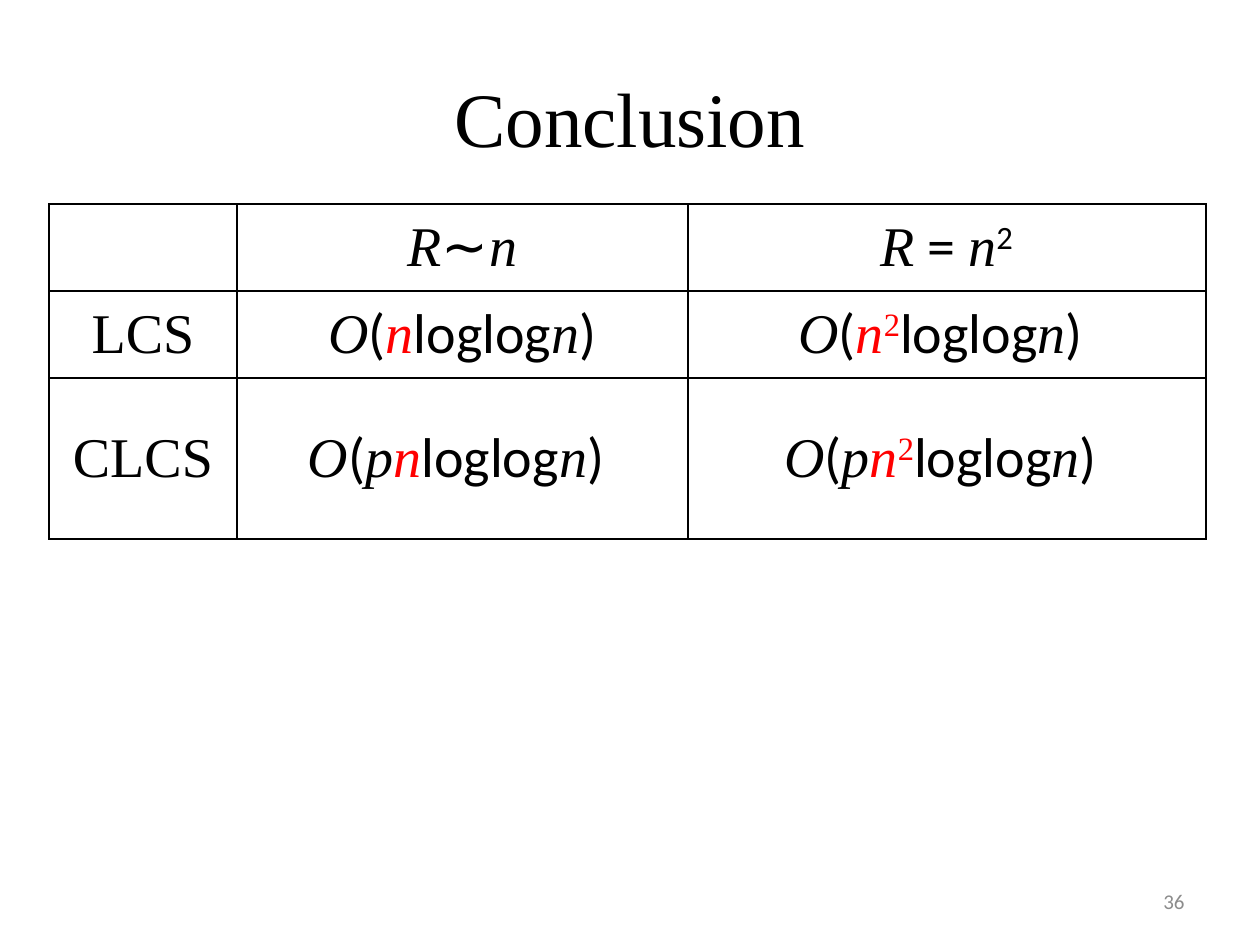
from lxml import etree
from pptx import Presentation
from pptx.dml.color import RGBColor
from pptx.enum.text import MSO_ANCHOR, PP_ALIGN
from pptx.oxml.ns import qn
from pptx.util import Inches, Pt

MIDDLE = MSO_ANCHOR.MIDDLE
CENTER = PP_ALIGN.CENTER
RIGHT = PP_ALIGN.RIGHT

SERIF = "Times New Roman"
SANS = "Calibri"
BLACK = "000000"
RED = "FF0000"
GRAY = "8C8C8C"

RUN_STYLES = {
    "label": dict(font=SERIF),
    "variable": dict(font=SERIF, italic=True),
    "operator": dict(font=SANS),
    "exponent": dict(font=SANS, raised=True),
    "key": dict(font=SERIF, italic=True, color=RED),
    "key exponent": dict(font=SERIF, color=RED, raised=True),
}

COLUMN_WIDTHS = [1.49, 3.58, 4.11]
ROW_HEIGHTS = [0.69, 0.69, 1.28]


def rgb(color):
    return RGBColor.from_string(color)


def complexity(factor="", squared=False, ending=")"):
    parts = [("O", "variable"), ("(", "operator")]
    if factor:
        parts.append((factor, "variable"))
    parts.append(("n", "key"))
    if squared:
        parts.append(("2", "key exponent"))
    return parts + [("loglog", "operator"), ("n", "variable"), (ending, "operator")]


class SlideBuilder:
    def __init__(self, slide, formula_size=32, border_width=1):
        self.slide = slide
        self.formula_size = formula_size
        self.border_width = border_width

    def format_run(self, run, font, size, color=BLACK, italic=False, raised=False):
        run.font.name = font
        run.font.size = Pt(size)
        run.font.italic = italic
        run.font.color.rgb = rgb(color)
        if raised:
            run.font._element.set("baseline", "30000")

    def text(self, text, left, top, width, height, alignment, **style):
        shape = self.slide.shapes.add_textbox(
            Inches(left), Inches(top), Inches(width), Inches(height)
        )
        text_frame = shape.text_frame
        text_frame.word_wrap = True
        text_frame.vertical_anchor = MIDDLE
        text_frame.text = text
        paragraph = text_frame.paragraphs[0]
        paragraph.alignment = alignment
        self.format_run(paragraph.runs[0], **style)

    def borders(self, cell):
        properties = cell._tc.get_or_add_tcPr()
        for side in ("a:lnL", "a:lnR", "a:lnT", "a:lnB"):
            line = etree.SubElement(properties, qn(side), w=str(Pt(self.border_width)))
            fill = etree.SubElement(line, qn("a:solidFill"))
            etree.SubElement(fill, qn("a:srgbClr"), val=BLACK)

    def cell(self, cell, parts):
        self.borders(cell)
        cell.fill.background()
        cell.vertical_anchor = MIDDLE
        paragraph = cell.text_frame.paragraphs[0]
        paragraph.alignment = CENTER
        for text, style in parts:
            run = paragraph.add_run()
            run.text = text
            self.format_run(run, size=self.formula_size, **RUN_STYLES[style])

    def table(self, rows, left, top, column_widths, row_heights):
        table = self.slide.shapes.add_table(
            len(row_heights), len(column_widths), Inches(left), Inches(top),
            Inches(sum(column_widths)), Inches(sum(row_heights))
        ).table
        table.first_row = False
        table.horz_banding = False
        for column, width in zip(table.columns, column_widths):
            column.width = Inches(width)
        for row, height, contents in zip(table.rows, row_heights, rows):
            row.height = Inches(height)
            for cell, parts in zip(row.cells, contents):
                self.cell(cell, parts)


def main():
    presentation = Presentation()
    presentation.slide_width = Inches(10)
    presentation.slide_height = Inches(7.5)
    slide = presentation.slides.add_slide(presentation.slide_layouts[6])
    builder = SlideBuilder(slide)

    linear = [("R", "variable"), ("∼", "operator"), ("n", "variable")]
    quadratic = [("R", "variable"), (" = ", "operator"), ("n", "variable"),
                 ("2", "exponent")]
    rows = [
        [[], linear, quadratic],
        [[("LCS", "label")], complexity(), complexity(squared=True, ending=") ")],
        [[("CLCS", "label")], complexity("p", ending=") "),
         complexity("p", squared=True, ending=") ")],
    ]

    builder.text("Conclusion", 0.5, 0.3, 9, 1.25, CENTER, font=SERIF, size=44)
    builder.text("36", 7.17, 6.95, 2.33, 0.4, RIGHT, font=SANS, size=12, color=GRAY)
    builder.table(rows, 0.39, 1.62, COLUMN_WIDTHS, ROW_HEIGHTS)
    presentation.save("out.pptx")


if __name__ == "__main__":
    main()
